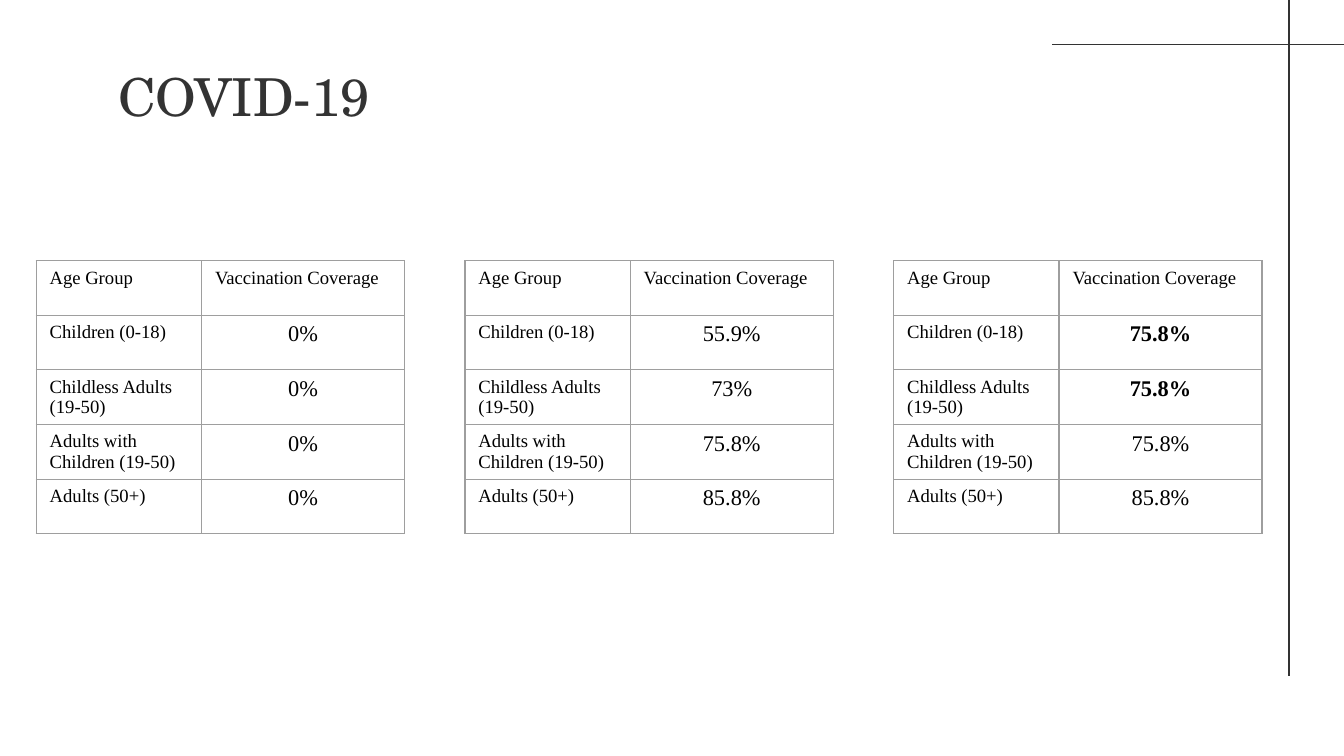
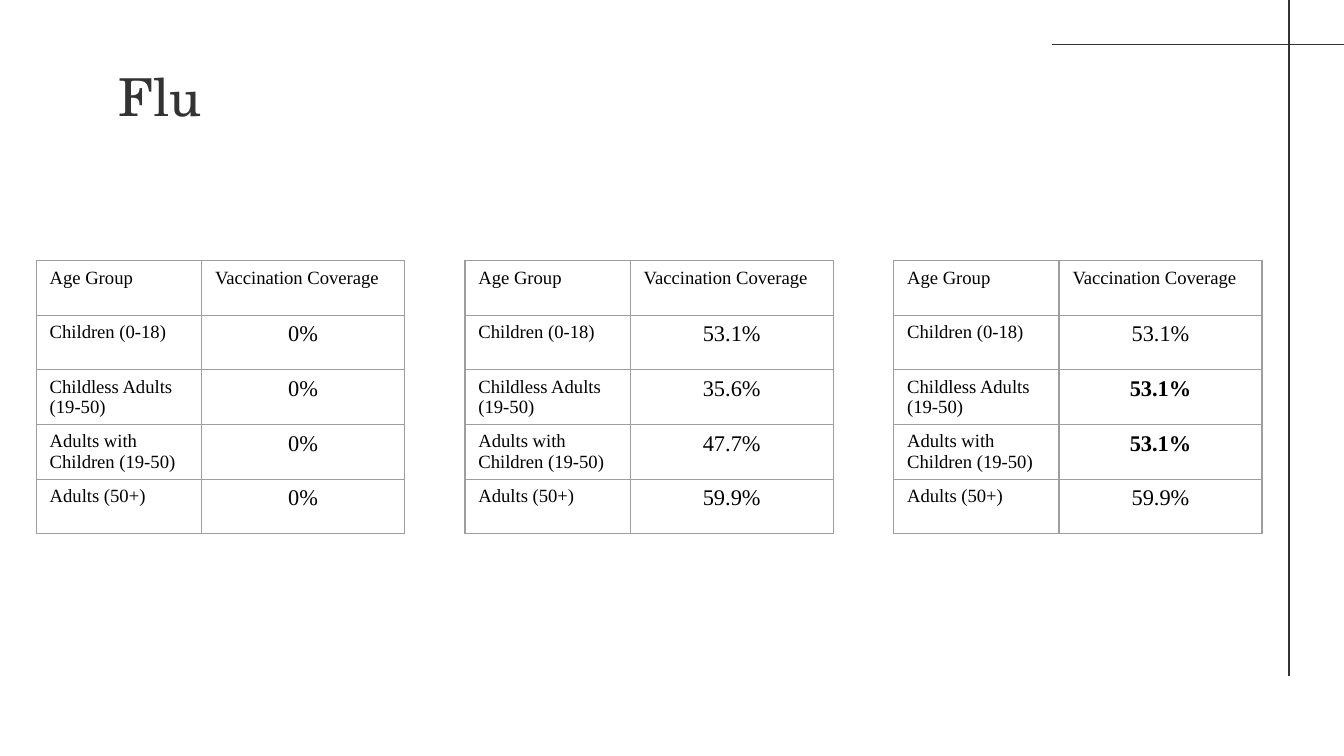
"""Build two slides of vaccination coverage by age group."""
from dataclasses import dataclass

from lxml.etree import SubElement
from pptx import Presentation
from pptx.dml.color import RGBColor
from pptx.enum.shapes import MSO_CONNECTOR
from pptx.enum.text import MSO_ANCHOR, MSO_AUTO_SIZE, PP_ALIGN
from pptx.oxml.ns import qn
from pptx.util import Inches, Pt


@dataclass(frozen=True)
class Theme:
    ink: str = "333333"
    text: str = "000000"
    border: str = "9E9E9E"
    title_font: str = "TeX Gyre Schola"
    body_font: str = "Times New Roman"
    title_size: float = 28
    label_size: float = 10
    value_size: float = 12
    line_width: float = 0.75


HEADERS = ("Age Group", "Vaccination Coverage")
AGE_GROUPS = ("Children (0-18)", "Childless Adults (19-50)",
              "Adults with Children (19-50)", "Adults (50+)")
COVERAGE = {
    "COVID-19": (("0%",) * 4,
                 ("55.9%", "73%", "75.8%", "85.8%"),
                 ("75.8%", "75.8%", "75.8%", "85.8%")),
    "Flu": (("0%",) * 4,
            ("53.1%", "35.6%", "47.7%", "59.9%"),
            ("53.1%", "53.1%", "53.1%", "59.9%")),
}
COL_WIDTHS = (1.23, 1.51)
TABLE_HEIGHT = 2.03
TABLE_LEFT, TABLE_TOP, TABLE_STEP = 0.27, 1.94, 3.19


def write_text(tf, text, *, font, size, color, bold=False, align=PP_ALIGN.LEFT):
    p = tf.paragraphs[0]
    p.alignment = align
    r = p.add_run()
    r.text = text
    r.font.name = font
    r.font.size = Pt(size)
    r.font.bold = bold
    r.font.color.rgb = RGBColor.from_string(color)


class Deck:
    def __init__(self, theme):
        self.theme = theme
        self.prs = Presentation()
        self.prs.slide_width = Inches(10)
        self.prs.slide_height = Inches(10 * 9 / 16)
        self.s = None

    def add_slide(self, title):
        self.s = self.prs.slides.add_slide(self.prs.slide_layouts[5])
        self.add_line(7.83, 0.33, 10.1, 0.33)
        self.add_line(9.59, 5.03, 9.59, -0.03)
        self.add_title(title)

    def add_line(self, x1, y1, x2, y2):
        line = self.s.shapes.add_connector(
            MSO_CONNECTOR.STRAIGHT, Inches(x1), Inches(y1), Inches(x2), Inches(y2))
        line.line.color.rgb = RGBColor.from_string(self.theme.ink)
        line.line.width = Pt(self.theme.line_width)
        SubElement(line._element.spPr, qn("a:effectLst"))

    def add_title(self, text):
        sp = self.s.shapes.title
        sp.left, sp.top = Inches(0.78), Inches(0.38)
        sp.width, sp.height = Inches(8.8), Inches(1.16)
        tf = sp.text_frame
        tf.word_wrap = True
        tf.auto_size = MSO_AUTO_SIZE.NONE
        tf.vertical_anchor = MSO_ANCHOR.TOP
        tf.margin_left = tf.margin_right = Inches(0.1)
        tf.margin_top = tf.margin_bottom = Inches(0.1)
        write_text(tf, text, font=self.theme.title_font,
                   size=self.theme.title_size, color=self.theme.ink)

    def add_table(self, left, values, raised):
        table = self.s.shapes.add_table(
            len(AGE_GROUPS) + 1, len(HEADERS), Inches(left), Inches(TABLE_TOP),
            Inches(sum(COL_WIDTHS)), Inches(TABLE_HEIGHT)).table
        table.first_row = table.horz_banding = False
        for col, width in zip(table.columns, COL_WIDTHS):
            col.width = Inches(width)
        for col, header in enumerate(HEADERS):
            self.fill_cell(table.cell(0, col), header)
        rows = zip(AGE_GROUPS, values, raised)
        for row, (group, value, bold) in enumerate(rows, start=1):
            self.fill_cell(table.cell(row, 0), group)
            self.fill_cell(table.cell(row, 1), value, size=self.theme.value_size,
                           bold=bold, align=PP_ALIGN.CENTER)

    def fill_cell(self, cell, text, size=None, **style):
        tcPr = cell._tc.get_or_add_tcPr()
        for side in ("a:lnL", "a:lnR", "a:lnT", "a:lnB"):
            ln = SubElement(tcPr, qn(side), w=str(Pt(self.theme.line_width)))
            fill = SubElement(ln, qn("a:solidFill"))
            SubElement(fill, qn("a:srgbClr"), val=self.theme.border)
        cell.fill.background()
        cell.margin_left = cell.margin_right = Inches(0.1)
        cell.margin_top = cell.margin_bottom = Inches(0.05)
        write_text(cell.text_frame, text, font=self.theme.body_font,
                   size=size or self.theme.label_size, color=self.theme.text, **style)


def main():
    deck = Deck(Theme())
    for disease, (none, current, improved) in COVERAGE.items():
        deck.add_slide(disease)
        plain = (False,) * len(AGE_GROUPS)
        raised = [new != old for old, new in zip(current, improved)]
        scenarios = ((none, plain), (current, plain), (improved, raised))
        for i, (values, bold) in enumerate(scenarios):
            deck.add_table(TABLE_LEFT + i * TABLE_STEP, values, bold)
    deck.prs.save("out.pptx")


if __name__ == "__main__":
    main()
